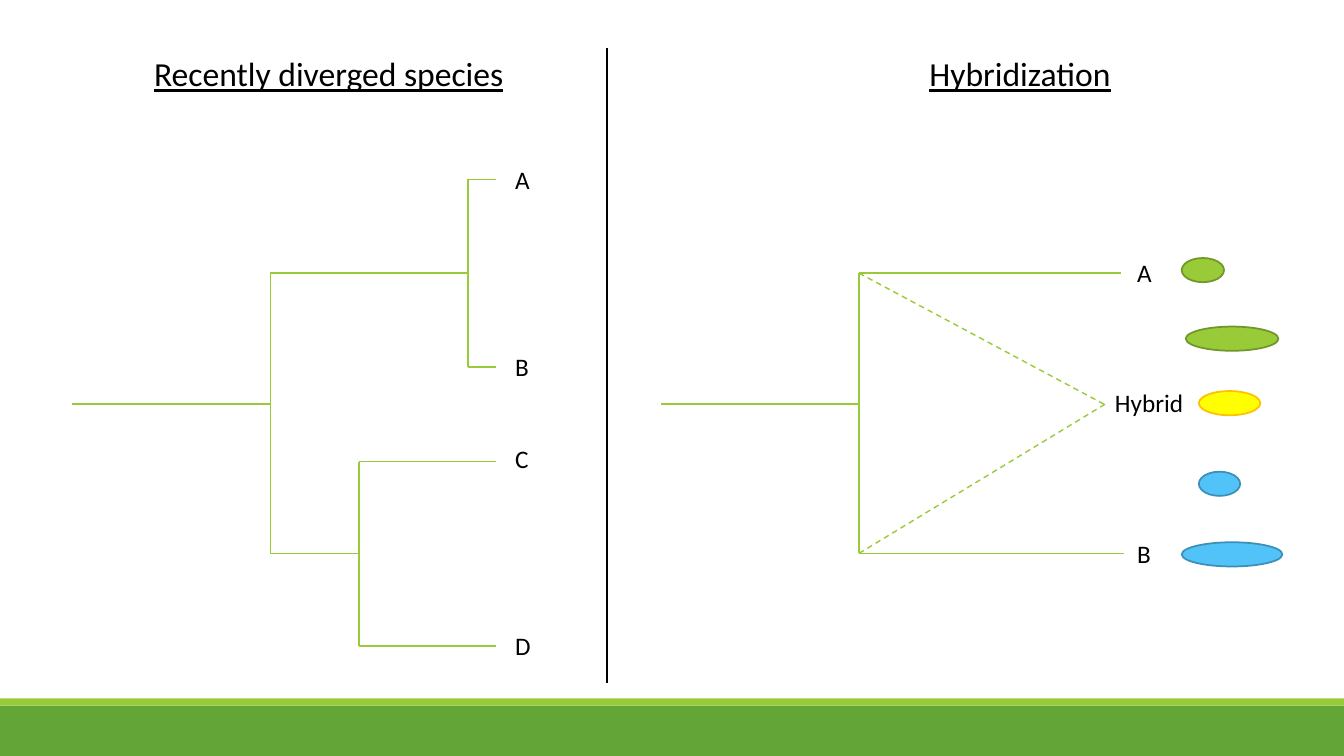
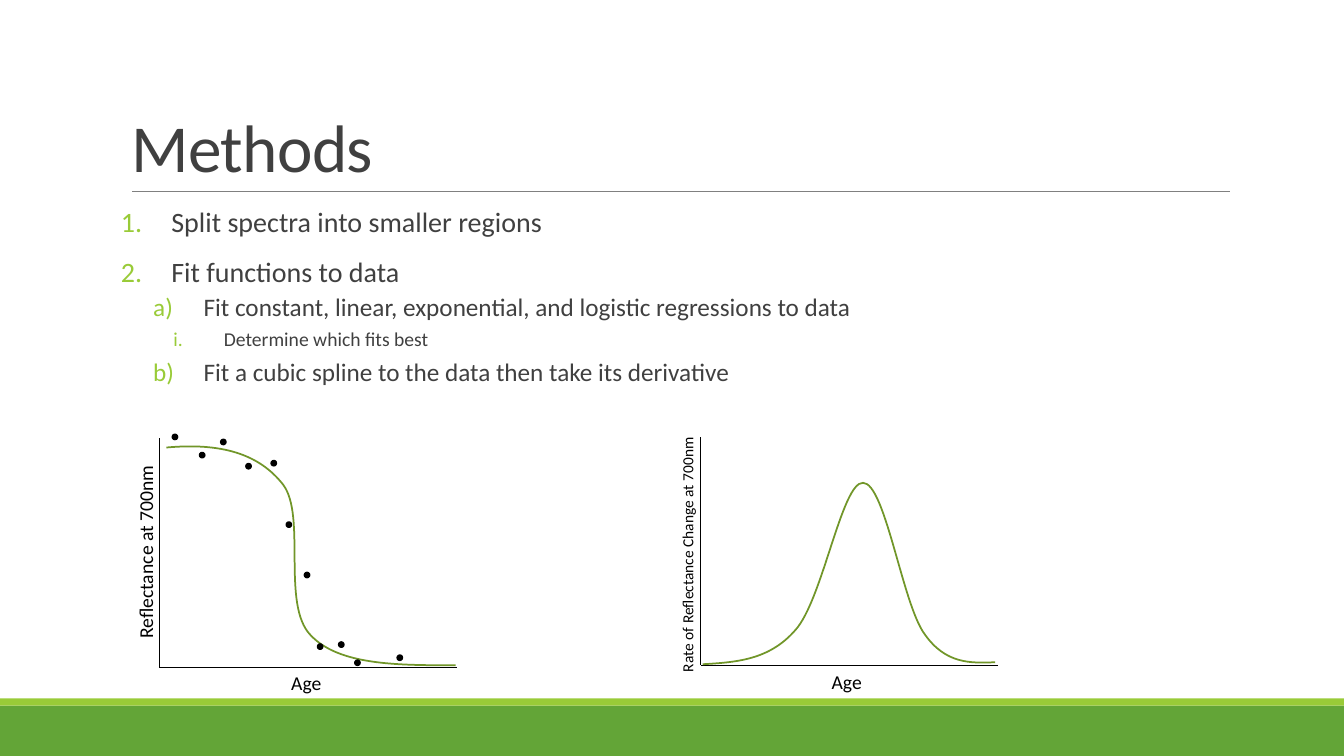
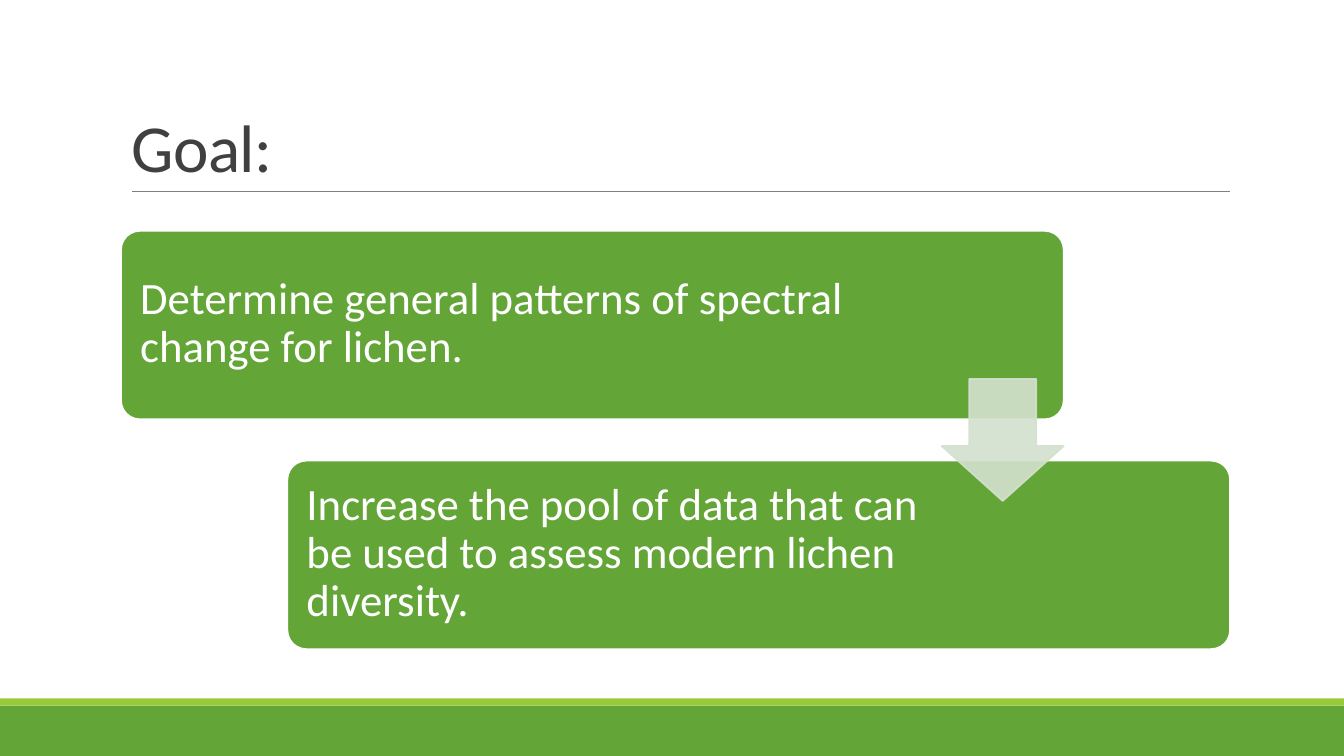
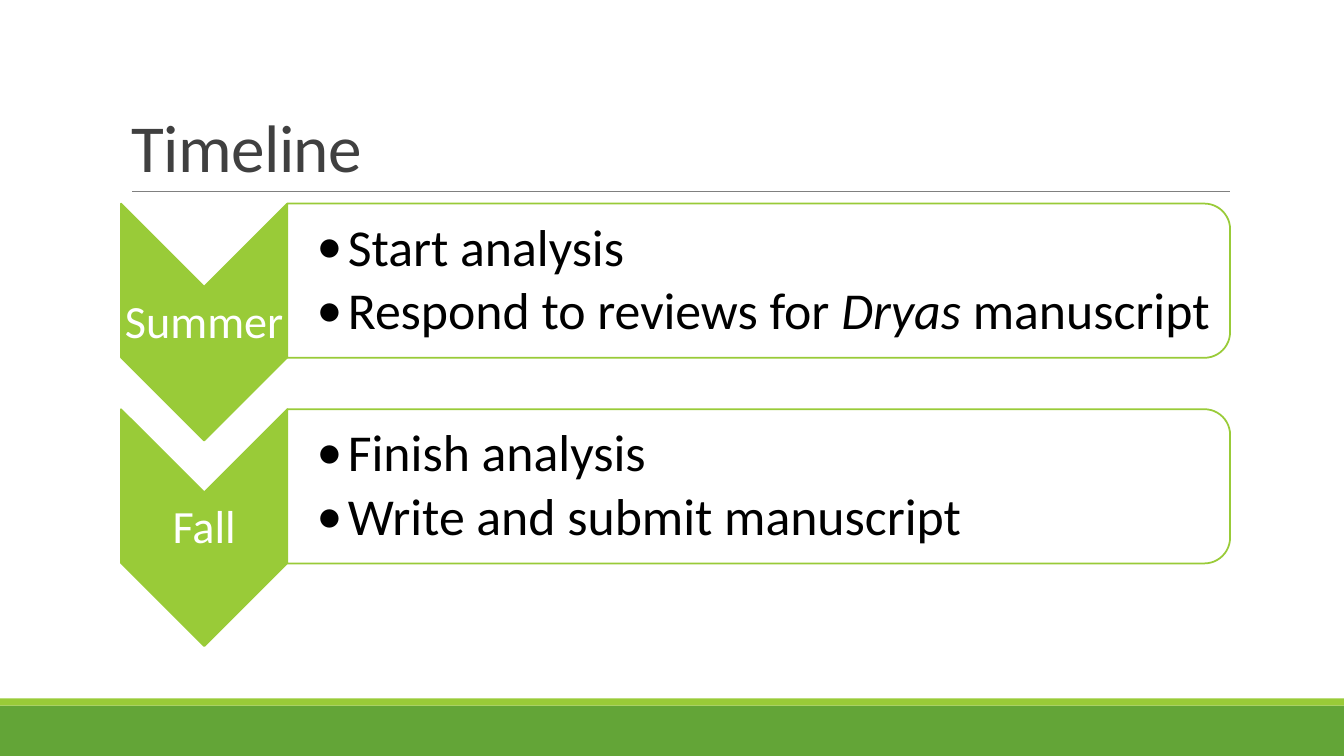
"""Build four slides on lichen species, methods, goal and timeline."""
from lxml import etree
from pptx import Presentation, util as u
from pptx.dml.color import RGBColor
from pptx.enum import dml, shapes, text
from pptx.oxml.ns import qn


class Theme:
    font = "Calibri"
    green, lime, moss = "63A537", "99CB38", "719629"
    sky, sea, sun, gold = "51C3F9", "3C90B8", "FFFF00", "FFC000"
    ink, white, dark, gray, pale = "000000", "FFFFFF", "404040", "808080", "D3E1CE"
    title, head, label, axis, small = 48, 24, 18, 14, 11
    step, goal, stage, task = 20, 32, 33, 37
    thin, wire, edge = 0.5, 1, 1.25


T = Theme
KIND = shapes.MSO_SHAPE
MID = text.MSO_ANCHOR.MIDDLE


def draw(slide, kind, box, fill, line=None, turn=0):
    shape = slide.shapes.add_shape(kind, *map(u.Inches, box))
    shape.shadow.inherit = False
    shape.rotation = turn
    shape.fill.solid()
    shape.fill.fore_color.rgb = RGBColor.from_string(fill)
    if line:
        shape.line.color.rgb = RGBColor.from_string(line)
        shape.line.width = u.Pt(T.edge)
    else:
        shape.line.fill.background()
    return shape


def write(slide, box, lines, size, color=T.ink, pad=(0.1, 0.05, 0.1, 0.05),
          anchor=text.MSO_ANCHOR.TOP, lead=1.0, after=0, turn=0):
    """Add a text box; words between asterisks are italic."""
    shape = slide.shapes.add_textbox(*map(u.Inches, box))
    shape.rotation = turn
    frame = shape.text_frame
    frame.word_wrap = True
    frame.vertical_anchor = anchor
    (frame.margin_left, frame.margin_top,
     frame.margin_right, frame.margin_bottom) = map(u.Inches, pad)
    for i, line in enumerate(lines):
        para = frame.paragraphs[0] if i == 0 else frame.add_paragraph()
        para.line_spacing = lead
        para.space_after = u.Pt(after)
        for j, part in enumerate(line.split("*")):
            run = para.add_run()
            run.text = part
            run.font.name = T.font
            run.font.size = u.Pt(size)
            run.font.color.rgb = RGBColor.from_string(color)
            if j % 2:
                run.font.italic = True
    return frame.paragraphs


deck = Presentation()
deck.slide_width, deck.slide_height = u.Inches(13.33), u.Inches(7.5)
pages = [deck.slides.add_slide(deck.slide_layouts[6]) for _ in range(4)]
tree, method, goal, plan = pages

for top, high, fill in ((7, 0.5, T.green), (6.93, 0.07, T.lime)):
    band = draw(tree, KIND.RECTANGLE, (0, top, 13.33, high), fill)
    deck.slide_master.shapes._spTree.append(band._element)

wires = []
for page, name in zip(pages[1:], ("Methods", "Goal:", "Timeline")):
    wires.append((page, T.gray, T.thin, False, [(1.31, 1.9, 12.2, 1.9)]))
    para = write(page, (1.21, 0.31, 11, 1.59), [name], T.title, T.dark,
                 anchor=text.MSO_ANCHOR.BOTTOM, lead=0.85)[0]
    para.runs[0].font._element.set("spc", "-50")

draw(tree, KIND.RECTANGLE, (0.8, 0.41, 11.69, 5.02), T.white, T.white)
wires += [
    (tree, T.lime, T.wire, False, [
        (0.71, 4.01, 2.68, 4.01), (2.68, 5.49, 2.68, 2.71),
        (2.68, 2.71, 4.64, 2.71), (2.68, 5.49, 3.56, 5.49),
        (4.64, 3.64, 4.64, 1.78), (4.64, 1.78, 4.92, 1.78),
        (4.64, 3.64, 4.92, 3.64), (3.56, 6.41, 3.56, 4.58),
        (3.56, 4.58, 4.92, 4.58), (3.56, 6.41, 4.92, 6.41),
        (6.56, 4.01, 8.52, 4.01), (8.52, 5.49, 8.52, 2.71),
        (8.52, 2.71, 11.12, 2.71), (8.52, 5.49, 11.15, 5.49)]),
    (tree, T.lime, T.wire, True, [
        (8.52, 5.49, 10.96, 4.01), (8.52, 2.71, 10.95, 4.01)]),
    (tree, T.ink, T.wire, False, [(6.02, 0.48, 6.02, 6.78)]),
    (method, T.ink, T.wire, False, [
        (1.58, 4.35, 1.58, 6.62), (4.53, 6.62, 1.58, 6.62),
        (6.95, 4.34, 6.95, 6.6), (9.9, 6.6, 6.95, 6.6)]),
]
for page, color, width, dash, ends in wires:
    for end in ends:
        wire = page.shapes.add_connector(
            shapes.MSO_CONNECTOR.STRAIGHT, *map(u.Inches, end))
        wire.line.color.rgb = RGBColor.from_string(color)
        wire.line.width = u.Pt(width)
        if dash:
            wire.line.dash_style = dml.MSO_LINE.DASH
        etree.SubElement(wire._element.spPr, qn("a:effectLst"))

for name, left, top, wide in (
        ("A", 5.01, 1.58, 0.42), ("B", 5.01, 3.44, 0.42),
        ("C", 5.01, 4.35, 0.42), ("D", 5.01, 6.2, 0.42),
        ("A", 11.18, 2.5, 0.42), ("B", 11.18, 5.29, 0.42),
        ("Hybrid", 10.96, 3.79, 1.08)):
    write(tree, (left, top, wide, 0.4), [name], T.label)
for name, left, wide in (("Recently diverged species", 1.43, 4.67),
                         ("Hybridization", 9.12, 2.27)):
    para = write(tree, (left, 0.48, wide, 0.5), [name], T.head)[0]
    para.runs[0].font.underline = True
for left, top, wide, fill, line in (
        (11.72, 2.56, 0.42, T.lime, T.moss), (11.76, 3.24, 0.92, T.lime, T.moss),
        (11.89, 3.88, 0.61, T.sun, T.gold), (11.89, 4.68, 0.41, T.sky, T.sea),
        (11.72, 5.38, 1, T.sky, T.sea)):
    draw(tree, KIND.OVAL, (left, top, wide, 0.24), fill, line)

steps = (
    ("Split spectra into smaller regions", 0),
    ("Fit functions to data", 0),
    ("Fit constant, linear, exponential, and logistic regressions to data", 1),
    ("Determine which fits best", 2),
    ("Fit a cubic spline to the data then take its derivative", 1),
)
ranks = (
    ("arabicPeriod", T.step, 0.5, 12, 2),
    ("alphaLcParenR", T.label, 0.82, 2, 4),
    ("romanLcPeriod", T.axis, 1.02, 2, 4),
)
paras = write(method, (1.2, 2.02, 11, 4.4), [step[0] for step in steps], T.step,
              T.dark, pad=(0, 0.05, 0, 0.05), lead=0.9)
for i, (para, (_, rank)) in enumerate(zip(paras, steps)):
    count, size, left, before, after = ranks[rank]
    para.level = rank
    prop = para._p.get_or_add_pPr()
    prop.set("marL", str(u.Inches(left)))
    prop.set("indent", str(u.Inches(-0.5)))
    tint = etree.SubElement(prop, qn("a:buClr"))
    etree.SubElement(tint, qn("a:srgbClr"), val=T.lime)
    etree.SubElement(prop, qn("a:buAutoNum"), type=count)
    para.space_before = u.Pt(before if i else 0)
    para.space_after = u.Pt(after)
    para.runs[0].font.size = u.Pt(size)

curves = (
    ((1.65, 4.44),
     (2.19, 4.39), (2.57, 4.5), (2.81, 4.81),
     (3.04, 5.12), (2.79, 6), (3.08, 6.3),
     (3.36, 6.6), (3.94, 6.6), (4.52, 6.6)),
    ((6.97, 6.59),
     (7.3, 6.57), (7.63, 6.55), (7.89, 6.25),
     (8.16, 5.95), (8.35, 4.78), (8.56, 4.79),
     (8.78, 4.79), (8.95, 5.99), (9.17, 6.29),
     (9.38, 6.59), (9.63, 6.58), (9.87, 6.57)),
)
for start, *bends in curves:
    pen = method.shapes.build_freeform(*map(u.Inches, start), scale=1.0)
    pen.add_line_segments([tuple(map(u.Inches, dot)) for dot in bends], close=False)
    curve = pen.convert_to_shape()
    legs = list(curve._element.iter(qn("a:lnTo")))
    for i in range(0, len(legs), 3):
        bend = etree.Element(qn("a:cubicBezTo"))
        legs[i].addprevious(bend)
        for leg in legs[i:i + 3]:
            bend.append(leg[0])
            leg.getparent().remove(leg)
    curve.shadow.inherit = False
    curve.fill.background()
    curve.line.color.rgb = RGBColor.from_string(T.moss)
    curve.line.width = u.Pt(T.edge)

for left, top in ((1.71, 4.31), (1.98, 4.49), (2.19, 4.36), (2.44, 4.6),
                  (2.69, 4.57), (2.84, 5.18), (3.02, 5.68), (3.15, 6.39),
                  (3.36, 6.37), (3.52, 6.55), (3.94, 6.5)):
    draw(method, KIND.OVAL, (left, top, 0.05, 0.05), T.ink, T.ink)
for name, box, size, turn in (
        ("Reflectance at 700nm", (0.16, 4.98, 2.57, 0.34), T.axis, 270),
        ("Age", (2.79, 6.61, 0.55, 0.34), T.axis, 0),
        ("Rate of Reflectance Change at 700nm", (5.14, 4.94, 3.36, 0.29), T.small, 270),
        ("Age", (8.15, 6.6, 0.55, 0.34), T.axis, 0)):
    write(method, box, [name], size, turn=turn)

for left, top, wide, name in (
        (1.2, 2.29, 7.42, "Determine general patterns of spectral change for lichen."),
        (2.85, 4.57, 6.38, "Increase the pool of data that can be used to assess "
                           "modern lichen diversity.")):
    card = draw(goal, KIND.ROUNDED_RECTANGLE, (left, top, 9.35, 1.87), T.green, T.white)
    card.adjustments[0] = 0.1
    write(goal, (left + 0.06, top + 0.05, wide, 1.75), [name], T.goal, T.white,
          pad=[0.13] * 4, anchor=MID, lead=0.9, after=11)
arrow = draw(goal, KIND.DOWN_ARROW, (9.34, 3.76, 1.21, 1.21), T.pale, T.pale)
arrow.adjustments[0], arrow.adjustments[1] = 0.55, 0.45
for tint in arrow._element.spPr.iter(qn("a:srgbClr")):
    etree.SubElement(tint, qn("a:alpha"), val="90000")

for i, (name, tasks) in enumerate((
        ("Summer", ["Start analysis", "Respond to reviews for *Dryas *manuscript"]),
        ("Fall", ["Finish analysis", "Write and submit manuscript"]))):
    drop = 2.04 * i
    draw(plan, KIND.CHEVRON, (0.85, 2.37 + drop, 2.35, 1.65), T.lime, T.lime, 90)
    write(plan, (1.2, 2.85 + drop, 1.65, 0.71), [name], T.stage, T.white,
          pad=[0.02] * 4, anchor=MID, lead=0.9, after=11)[0].alignment = text.PP_ALIGN.CENTER
    draw(plan, KIND.ROUND_2_SAME_RECTANGLE, (6.76, -1.89 + drop, 1.53, 9.35),
         T.white, T.lime, 90)
    for para in write(plan, (2.85, 2.1 + drop, 9.28, 1.38), tasks, T.task,
                      pad=(0.29, 0.03, 0.03, 0.03), anchor=MID, lead=0.9, after=5.5):
        para.level = 1
        prop = para._p.get_or_add_pPr()
        prop.set("marL", str(u.Inches(0.31)))
        prop.set("indent", str(u.Inches(-0.31)))
        etree.SubElement(prop, qn("a:buFont"), typeface=T.font)
        etree.SubElement(prop, qn("a:buChar"), char="•")

deck.save("out.pptx")
